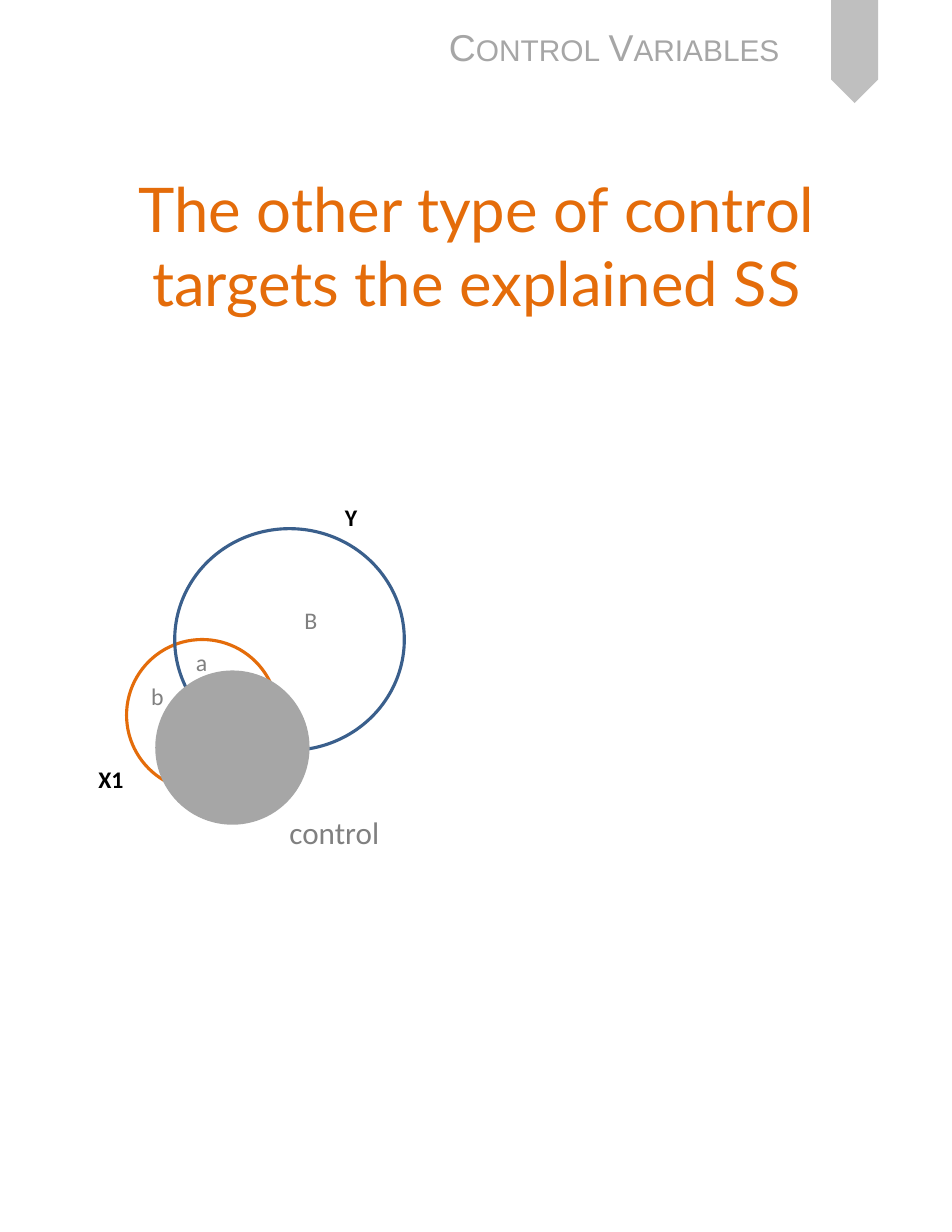
"""Build a portrait slide on control variables with a Venn diagram of explained variance."""
from pptx import Presentation
from pptx.dml.color import RGBColor
from pptx.enum.shapes import MSO_SHAPE
from pptx.enum.text import MSO_ANCHOR, MSO_AUTO_SIZE, PP_ALIGN
from pptx.util import Inches, Pt

OVAL, PENTAGON = MSO_SHAPE.OVAL, MSO_SHAPE.PENTAGON
LEFT, CENTER = PP_ALIGN.LEFT, PP_ALIGN.CENTER
MIDDLE = MSO_ANCHOR.MIDDLE
GROW = MSO_AUTO_SIZE.SHAPE_TO_FIT_TEXT

BLACK = RGBColor(0x00, 0x00, 0x00)
GRAY = RGBColor(0x80, 0x80, 0x80)
MID_GRAY = RGBColor(0xA6, 0xA6, 0xA6)
LIGHT_GRAY = RGBColor(0xBF, 0xBF, 0xBF)
ORANGE = RGBColor(0xE4, 0x6C, 0x0A)
BLUE = RGBColor(0x3A, 0x5F, 0x8C)

HEADER = "Control Variables"
TITLE = "The other type of control targets the explained SS"
RIBBON_FRAME = (7.17, 0.25, 0.92, 0.42)
HEADER_FRAME = (3.91, 0.17, 3.25, 0.5)
TITLE_FRAME = (0.43, 1.27, 7.65, 1.83)
CONTROL_FRAME = (1.4, 6, 1.35, 1.35)
VARIABLE_CIRCLES = [
    ((1.13, 5.71, 1.35, 1.35), ORANGE),
    ((1.56, 4.72, 2.05, 1.98), BLUE),
]
LABEL_SIZE, LABEL_HEIGHT = 15.3, 0.36
VENN_LABELS = [
    ("Y", 2.98, 4.44, 0.31, BLACK, True),
    ("X1", 0.78, 6.78, 0.43, BLACK, True),
    ("a", 1.65, 5.73, 0.31, GRAY, False),
    ("B", 2.62, 5.36, 0.32, GRAY, False),
    ("b", 1.25, 6.04, 0.32, GRAY, False),
]


def style(para, font_name, size, color, bold=False, align=LEFT):
    para.alignment = align
    font = para.font
    font.name, font.size, font.bold = font_name, Pt(size), bold
    font.color.rgb = color


def add_label(slide, text, frame, font_name, size, color, bold=False, align=LEFT):
    box = slide.shapes.add_textbox(*map(Inches, frame))
    box.text_frame.word_wrap = False
    box.text_frame.auto_size = GROW
    para = box.text_frame.paragraphs[0]
    span = para.add_run()
    span.text = text
    style(para, font_name, size, color, bold, align)
    return span


def add_figure(slide, kind, frame, fill=None, line=None):
    shape = slide.shapes.add_shape(kind, *map(Inches, frame))
    shape.shadow.inherit = False
    if fill is None:
        shape.fill.background()
    else:
        shape.fill.solid()
        shape.fill.fore_color.rgb = fill
    if line is None:
        shape.line.fill.background()
    else:
        shape.line.color.rgb = line
        shape.line.width = Pt(2)
    return shape


def add_title(slide):
    title = slide.shapes.title
    title.left, title.top, title.width, title.height = map(Inches, TITLE_FRAME)
    title.text_frame.text = TITLE
    title.text_frame.word_wrap = True
    title.text_frame.vertical_anchor = MIDDLE
    style(title.text_frame.paragraphs[0], "Lato", 39.6, ORANGE, align=CENTER)


def main():
    deck = Presentation()
    deck.slide_width, deck.slide_height = Inches(8.5), Inches(11)
    slide = deck.slides.add_slide(deck.slide_layouts[5])

    add_figure(slide, PENTAGON, RIBBON_FRAME, fill=LIGHT_GRAY).rotation = 90
    header = add_label(slide, HEADER, HEADER_FRAME, "Arial", 24, MID_GRAY)
    header.font._element.set("cap", "small")
    add_title(slide)

    for frame, color in VARIABLE_CIRCLES:
        add_figure(slide, OVAL, frame, line=color)
    for text, left, top, width, color, bold in VENN_LABELS:
        frame = (left, top, width, LABEL_HEIGHT)
        add_label(slide, text, frame, "Calibri", LABEL_SIZE, color, bold)
    add_label(slide, "control", (2.48, 7.21, 1.01, 0.44), "Calibri", 20, GRAY, align=CENTER)
    add_figure(slide, OVAL, CONTROL_FRAME, fill=MID_GRAY, line=MID_GRAY)

    deck.save("out.pptx")


if __name__ == "__main__":
    main()
